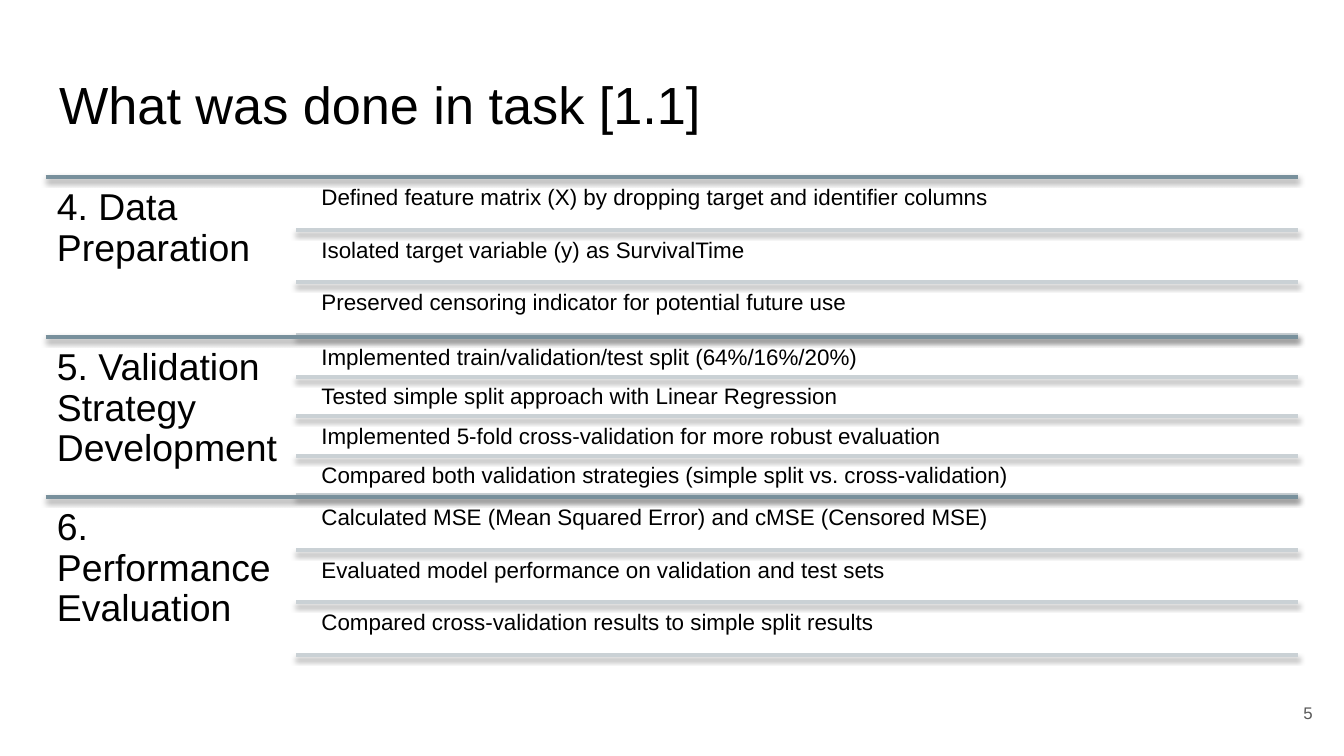
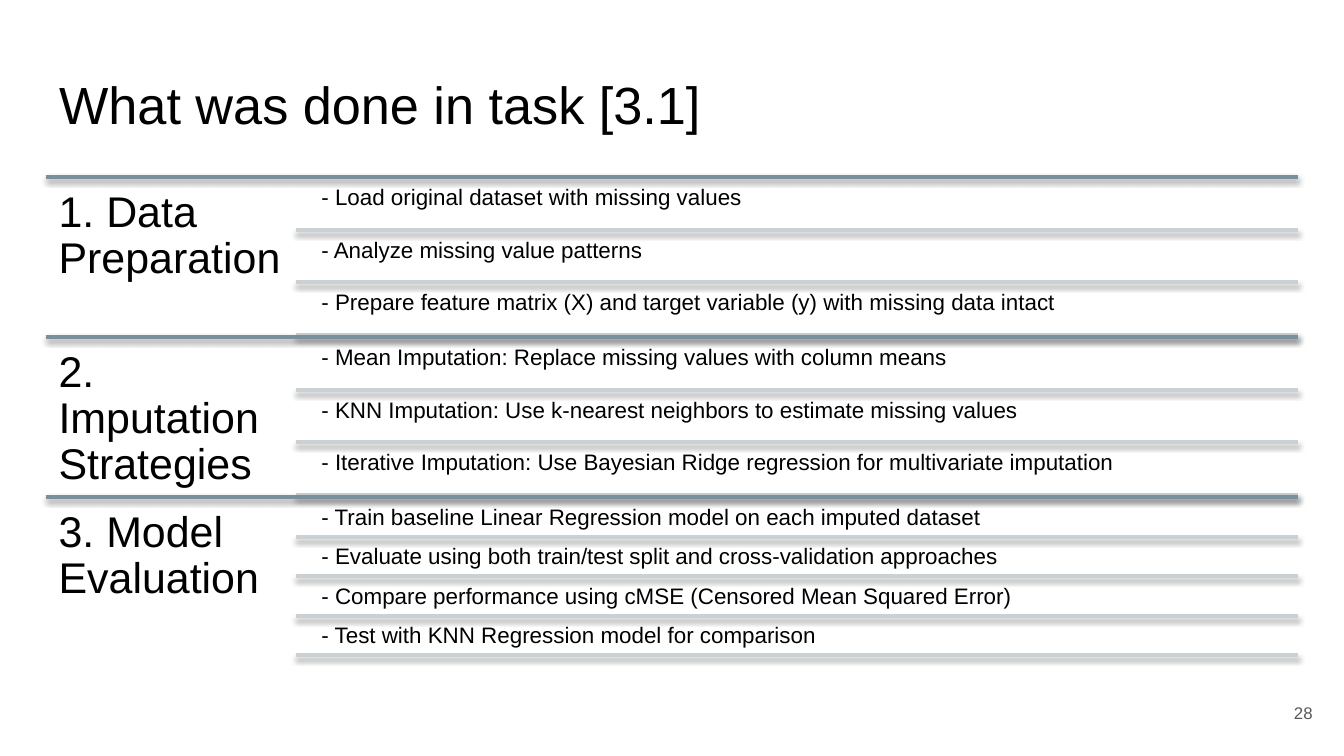
from dataclasses import dataclass

from lxml import etree
from pptx import Presentation
from pptx.dml.color import RGBColor
from pptx.enum import shapes, text
from pptx.oxml.ns import qn
from pptx.util import Pt


@dataclass(frozen=True)
class Theme:
    """Colours, type sizes and the shared grid, lengths in points."""
    font: str = "Arial"
    ink: str = "000000"
    muted: str = "595959"
    section_rule: str = "78909C"
    item_rule: str = "CAD1D5"
    title_size: int = 28
    item_size: int = 12
    number_size: int = 9
    rule_width: int = 2
    frame_inset: float = 7.2
    line_spacing: float = 0.9
    left: float = 24.5
    right: float = 695.5
    item_rule_left: float = 158.6
    item_left: float = 168.6
    top: float = 95
    section_height: float = 85.7
    gap_share: float = 0.05


THEME = Theme()

TASKS = [
    ("What was done in task [1.1]", "5", 20, [
        ("4. Data Preparation", [
            "Defined feature matrix (X) by dropping target and identifier columns",
            "Isolated target variable (y) as SurvivalTime",
            "Preserved censoring indicator for potential future use",
        ]),
        ("5. Validation Strategy Development", [
            "Implemented train/validation/test split (64%/16%/20%)",
            "Tested simple split approach with Linear Regression",
            "Implemented 5-fold cross-validation for more robust evaluation",
            "Compared both validation strategies (simple split vs. cross-validation)",
        ]),
        ("6. Performance Evaluation", [
            "Calculated MSE (Mean Squared Error) and cMSE (Censored MSE)",
            "Evaluated model performance on validation and test sets",
            "Compared cross-validation results to simple split results",
        ]),
    ]),
    ("What was done in task [3.1]", "28", 23, [
        ("1. Data Preparation", [
            "- Load original dataset with missing values",
            "- Analyze missing value patterns",
            "- Prepare feature matrix (X) and target variable (y) with missing data intact",
        ]),
        ("2. Imputation Strategies", [
            "- Mean Imputation: Replace missing values with column means",
            "- KNN Imputation: Use k-nearest neighbors to estimate missing values",
            "- Iterative Imputation: Use Bayesian Ridge regression for multivariate imputation",
        ]),
        ("3. Model Evaluation", [
            "- Train baseline Linear Regression model on each imputed dataset",
            "- Evaluate using both train/test split and cross-validation approaches",
            "- Compare performance using cMSE (Censored Mean Squared Error)",
            "- Test with KNN Regression model for comparison",
        ]),
    ]),
]


def write(frame, words, size, inset, color=THEME.ink,
          anchor=text.MSO_ANCHOR.TOP, align=text.PP_ALIGN.LEFT, after=0):
    """Fill a text frame with one formatted paragraph."""
    frame.text = words
    frame.word_wrap = True
    frame.auto_size = text.MSO_AUTO_SIZE.NONE
    frame.vertical_anchor = anchor
    frame.margin_left = frame.margin_right = Pt(inset)
    frame.margin_top = frame.margin_bottom = Pt(inset)
    line = frame.paragraphs[0]
    line.alignment = align
    line.line_spacing = THEME.line_spacing
    line.space_after = Pt(after)
    line.font.name = THEME.font
    line.font.size = Pt(size)
    line.font.color.rgb = RGBColor.from_string(color)


def add_title(slide, words):
    """Place and format the slide title."""
    title = slide.shapes.title
    title.left, title.top = Pt(THEME.left), Pt(35)
    title.width, title.height = Pt(THEME.right - THEME.left), Pt(45)
    write(title.text_frame, words, THEME.title_size, THEME.frame_inset,
          anchor=text.MSO_ANCHOR.MIDDLE)


def add_number(slide, number):
    """Put the page number in the lower right corner."""
    box = slide.shapes.add_textbox(Pt(667.1), Pt(367.2), Pt(43.2), Pt(31))
    write(box.text_frame, number, THEME.number_size, THEME.frame_inset, THEME.muted,
          text.MSO_ANCHOR.MIDDLE, text.PP_ALIGN.RIGHT, after=6)


def add_label(outline, words, size, left, top, width, height):
    """Add outline text whose inset and spacing follow its type size."""
    box = outline.shapes.add_textbox(Pt(left), Pt(top), Pt(width), Pt(height))
    write(box.text_frame, words, size, 0.3 * size, after=0.35 * size)


def add_rule(outline, left, y, color):
    """Draw a horizontal rule with a soft shadow below it."""
    rule = outline.shapes.add_connector(
        shapes.MSO_CONNECTOR.STRAIGHT, Pt(left), Pt(y), Pt(THEME.right), Pt(y))
    rule.line.color.rgb = RGBColor.from_string(color)
    rule.line.width = Pt(THEME.rule_width)
    effects = etree.SubElement(rule._element.spPr, qn("a:effectLst"))
    shadow = etree.SubElement(effects, qn("a:outerShdw"), blurRad=str(Pt(3.1)),
                              dist=str(Pt(1.6)), dir="5400000", rotWithShape="0")
    tint = etree.SubElement(shadow, qn("a:srgbClr"), val=THEME.ink)
    etree.SubElement(tint, qn("a:alpha"), val="38000")


def add_section(outline, top, heading, heading_size, items):
    """Add a heading with evenly spaced, ruled items beside it."""
    add_rule(outline, THEME.left, top, THEME.section_rule)
    add_label(outline, heading, heading_size, THEME.left, top,
              THEME.item_rule_left - THEME.left, THEME.section_height)
    count = len(items)
    height = THEME.section_height / (count + (count + 1) * THEME.gap_share)
    gap = height * THEME.gap_share
    for index, item in enumerate(items):
        item_top = top + gap + index * (height + gap)
        add_label(outline, item, THEME.item_size, THEME.item_left, item_top,
                  THEME.right - THEME.item_left, height)
        add_rule(outline, THEME.item_rule_left, item_top + height, THEME.item_rule)


def main():
    """Build the task slides and save them."""
    deck = Presentation()
    deck.slide_width, deck.slide_height = Pt(720), Pt(405)
    for title, number, heading_size, sections in TASKS:
        slide = deck.slides.add_slide(deck.slide_layouts[5])
        add_title(slide, title)
        add_number(slide, number)
        outline = slide.shapes.add_group_shape()
        for index, (heading, items) in enumerate(sections):
            top = THEME.top + index * THEME.section_height
            add_section(outline, top, heading, heading_size, items)
    deck.save("out.pptx")


if __name__ == "__main__":
    main()
